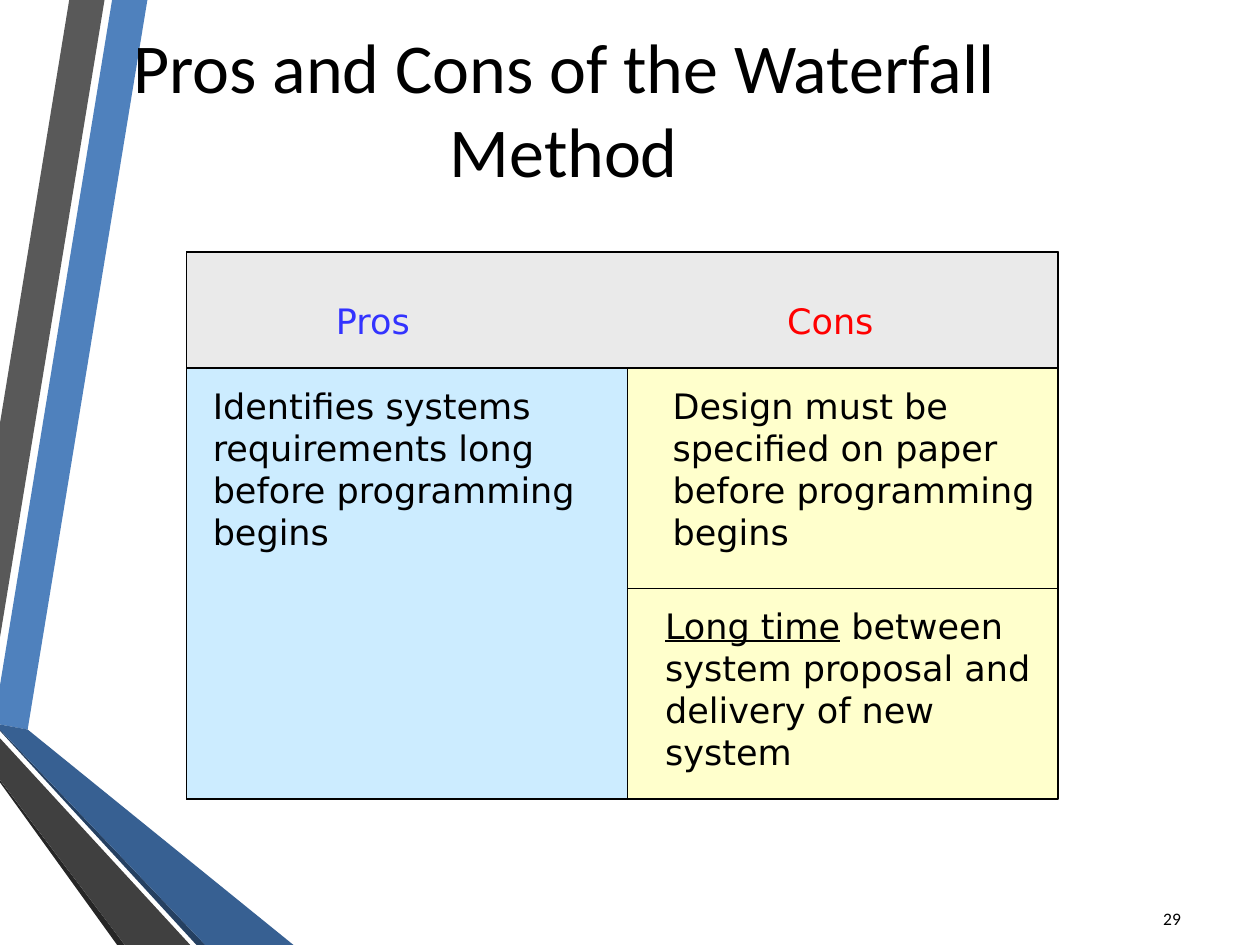
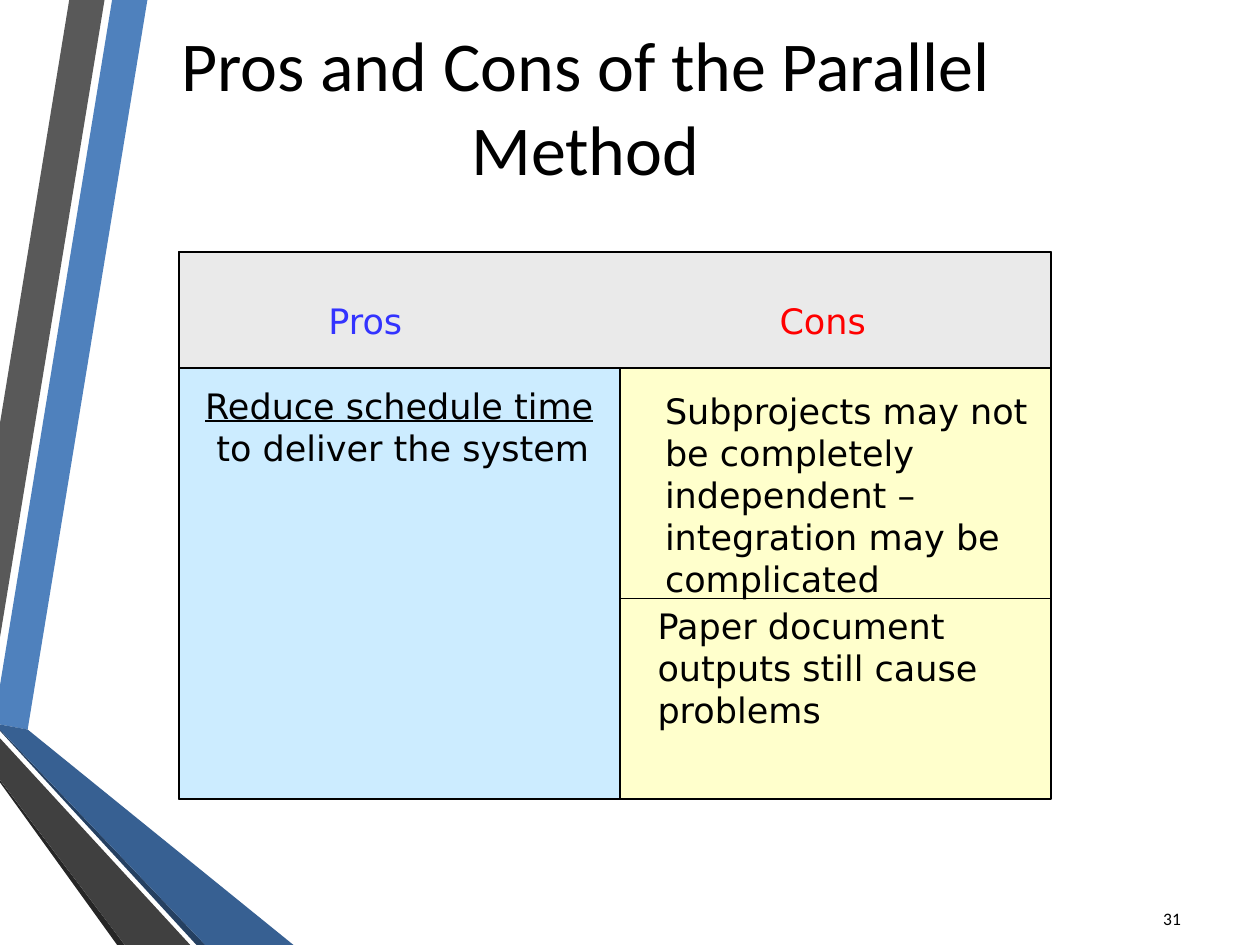
"""Build two pros-and-cons slides that share side bands, title style and page number."""
from lxml.etree import SubElement
from pptx import Presentation
from pptx.dml.color import RGBColor
from pptx.enum.shapes import MSO_CONNECTOR, MSO_SHAPE
from pptx.enum.text import MSO_ANCHOR, MSO_AUTO_SIZE, PP_ALIGN
from pptx.oxml.ns import qn
from pptx.util import Inches, Pt

W, H = 10, 7.5
BLACK = "000000"
HEAD, PRO, CON = "EAEAEA", "CCECFF", "FFFFCC"
BODY, TITLE = "DejaVu Sans", "Calibri"

BANDS = [
    ("4F81BD", [(0, 5.44), (0, 5.75), (0.22, 5.79), (1.17, 0), (0.89, 0)]),
    ("595959", [(0.83, 0), (0.55, 0), (0, 3.36), (0, 5.06)]),
    ("262626", [(0, 6.19), (0, 6.21), (0.93, H), (0.99, H)]),
    ("254061", [(0, 5.79), (0, 5.8), (1.56, H), (1.63, H)]),
    ("376092", [(0, 5.79), (1.63, H), (2.33, H), (0.22, 5.79), (0, 5.75)]),
    ("404040", [(0, 6.19), (0.99, H), (1.51, H), (0, 5.86)]),
]

SLIDES = [
    dict(
        title="Pros and Cons of the Waterfall Method", title_at=(0.5, 0.13),
        left=1.48, split=4.67, page="29",
        pros=(3, [("", "Identifies systems"), ("", "requirements long"),
                  ("", "before programming"), ("", "begins")]),
        cons=[(3, [("", "Design must be"), ("", "specified on paper"),
                   ("", "before programming"), ("", "begins")]),
              (4.75, [("Long time", " between"), ("", "system proposal and"),
                      ("", "delivery of new"), ("", "system")])],
    ),
    dict(
        title="Pros and Cons of the Parallel Method", title_at=(0.67, 0.11),
        left=1.42, split=4.75, page="31",
        pros=(3, [("Reduce schedule time", ""), ("", " to deliver the system")]),
        cons=[(3.04, [("", "Subprojects may not"), ("", "be completely"),
                      ("", "independent –"), ("", "integration may be"),
                      ("", "complicated")]),
              (4.75, [("", "Paper document"), ("", "outputs still cause"),
                      ("", "problems")])],
    ),
]

TOP, HEAD_H, BODY_H = 2, 0.92, 3.42
PRO_W, CON_W = 3.5, 3.42
LINE_H, PAD = 1 / 3, 0.05


def rgb(value):
    return RGBColor.from_string(value)


def style(font, size, name, color):
    font.size, font.name, font.color.rgb = Pt(size), name, rgb(color)


def add_bands(s):
    """Draw the bands and move them to the layout, behind every slide's content."""
    for i, (color, points) in enumerate(BANDS):
        x, y = points[0]
        builder = s.shapes.build_freeform(Inches(x), Inches(y))
        builder.add_line_segments([(Inches(x), Inches(y)) for x, y in points[1:]], close=True)
        sp = builder.convert_to_shape()
        sp.shadow.inherit = False
        sp.fill.solid()
        sp.fill.fore_color.rgb = rgb(color)
        sp.line.fill.background()
        s.slide_layout.shapes.element.insert(2 + i, sp.element)


def add_title(s, text, x, y):
    sp = s.shapes.title
    sp.left, sp.top, sp.width, sp.height = map(Inches, (x, y, 7.95, 1.45))
    tf = sp.text_frame
    tf.text = text
    tf.word_wrap, tf.auto_size = True, MSO_AUTO_SIZE.NONE
    tf.vertical_anchor = MSO_ANCHOR.MIDDLE
    tf.paragraphs[0].alignment = PP_ALIGN.CENTER
    style(tf.paragraphs[0].font, 40, TITLE, BLACK)


def add_panel(s, x, y, w, h, color):
    sp = s.shapes.add_shape(MSO_SHAPE.RECTANGLE, *map(Inches, (x, y, w, h)))
    sp.shadow.inherit = False
    sp.fill.solid()
    sp.fill.fore_color.rgb = rgb(color)
    sp.line.color.rgb, sp.line.width = rgb(BLACK), Pt(1)


def add_text(s, x, y, w, h, lines, align=PP_ALIGN.LEFT, size=20, name=BODY, color=BLACK):
    """Write lines, each a pair of underlined part and plain part."""
    tf = s.shapes.add_textbox(*map(Inches, (x, y, w, h))).text_frame
    tf.word_wrap, tf.vertical_anchor = True, MSO_ANCHOR.MIDDLE
    for i, parts in enumerate(lines):
        p = tf.add_paragraph() if i else tf.paragraphs[0]
        p.alignment = align
        style(p.font, size, name, color)
        for text, underline in zip(parts, (True, None)):
            if text:
                r = p.add_run()
                r.text, r.font.underline = text, underline


def add_block(s, x, w, block):
    y, lines = block
    add_text(s, x, y, w, len(lines) * LINE_H + 2 * PAD, lines)


def add_rule(s, x, y, w):
    line = s.shapes.add_connector(MSO_CONNECTOR.STRAIGHT, *map(Inches, (x, y, x + w, y)))
    line.line.color.rgb, line.line.width = rgb(BLACK), Pt(1)
    SubElement(line.element.spPr, qn("a:effectLst"))


def add_comparison(s, left, split, pros, cons):
    middle, body = left + PRO_W, TOP + HEAD_H
    add_panel(s, left, TOP, PRO_W + CON_W, HEAD_H + BODY_H, CON)
    add_panel(s, left, TOP, PRO_W + CON_W, HEAD_H, HEAD)
    add_panel(s, left, body, PRO_W, BODY_H, PRO)
    for text, dx, color in (("Pros", 0.98, "3333FF"), ("Cons", 4.61, "FF0000")):
        add_text(s, left + dx, 2.33, 1, 0.43, [("", text)], PP_ALIGN.CENTER, color=color)
    add_block(s, left + 0.11, PRO_W - 0.11, pros)
    for dx, block in zip((0.26, 0.2), cons):
        add_block(s, middle + dx, CON_W - dx, block)
    add_rule(s, middle, split, CON_W)


prs = Presentation()
prs.slide_width, prs.slide_height = Inches(W), Inches(H)
layout = prs.slide_layouts[5]
for i, d in enumerate(SLIDES):
    s = prs.slides.add_slide(layout)
    if i == 0:
        add_bands(s)
    add_title(s, d["title"], *d["title_at"])
    add_comparison(s, d["left"], d["split"], d["pros"], d["cons"])
    add_text(s, 9.02, 7.09, 0.45, 0.4, [("", d["page"])], PP_ALIGN.RIGHT, 10, TITLE)
prs.save("out.pptx")
